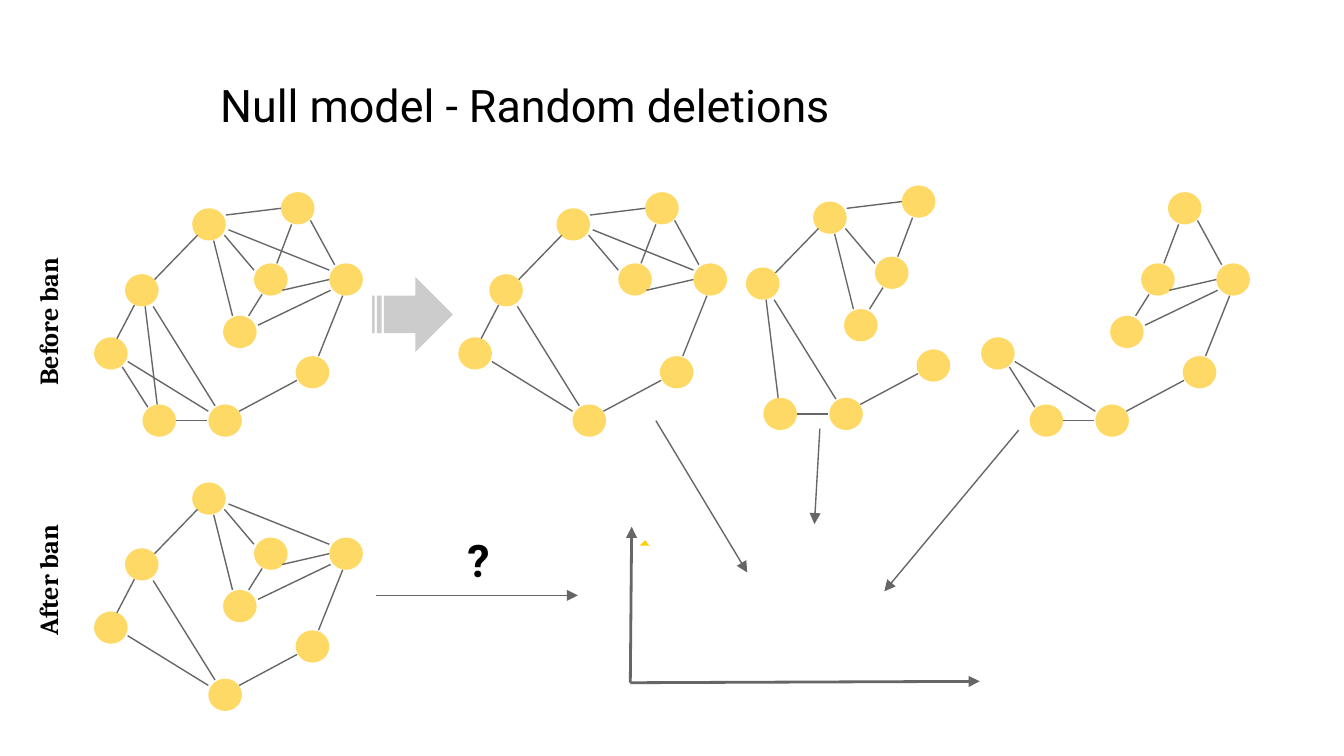
from lxml import etree
from pptx import Presentation
from pptx.dml.color import RGBColor
from pptx.enum import shapes, text
from pptx.oxml import ns
from pptx.util import Inches, Pt

HUES = {"node": "FFD966", "line": "666666", "arrow": "CCCCCC",
        "mark": "FFCD00", "text": "000000"}

deck = Presentation()
deck.slide_width = Inches(10)
deck.slide_height = Inches(10) * 9 // 16
slide = deck.slides.add_slide(deck.slide_layouts[6])


def add_line(start, end, width=0.75, arrow=False):
    line = slide.shapes.add_connector(
        shapes.MSO_CONNECTOR.STRAIGHT, *[Inches(v) for v in (*start, *end)])
    line.line.color.rgb = RGBColor.from_string(HUES["line"])
    line.line.width = Pt(width)
    if arrow:
        tail = etree.SubElement(line.line._get_or_add_ln(), ns.qn("a:tailEnd"))
        tail.set("type", "triangle")
    etree.SubElement(line._element.spPr, ns.qn("a:effectLst"))


def paint(shape, hue):
    """Give a shape a flat fill with no outline or shadow."""
    shape.shadow.inherit = False
    shape.fill.solid()
    shape.fill.fore_color.rgb = RGBColor.from_string(HUES[hue])
    shape.line.fill.background()


# The full network: every other graph drops nodes and the edges they touch
NODES = {"a": (1.43, 1.55), "b": (2.09, 1.43), "c": (1.66, 2.35),
         "d": (2.45, 1.96), "e": (0.7, 2.51), "f": (1.55, 3.01),
         "g": (0.93, 2.04), "h": (2.2, 2.65), "i": (1.89, 1.96),
         "j": (1.06, 3.01)}
EDGES = {"ab": (1.68, 1.6, 2.09, 1.55), "bd": (2.31, 1.64, 2.49, 1.97),
         "cd": (1.92, 2.42, 2.46, 2.16), "ac": (1.59, 1.79, 1.73, 2.35),
         "dh": (2.55, 2.2, 2.37, 2.65), "fh": (1.78, 3.06, 2.21, 2.83),
         "ef": (0.95, 2.69, 1.55, 3.06), "gf": (1.14, 2.28, 1.6, 3.02),
         "ga": (1.15, 2.08, 1.47, 1.75), "eg": (0.87, 2.52, 1, 2.27),
         "ic": (1.95, 2.19, 1.85, 2.35), "id": (2.1, 2.16, 2.45, 2.08),
         "ib": (2.06, 1.96, 2.17, 1.67), "ia": (1.89, 2.01, 1.67, 1.75),
         "ad": (1.7, 1.71, 2.45, 2.01), "jf": (1.31, 3.13, 1.54, 3.13),
         "ej": (0.91, 2.73, 1.1, 3.03), "jg": (1.17, 3.01, 1.08, 2.28)}
GRAPHS = [(0, 0, ""), (2.71, 0, "cj"), (4.62, -0.05, "de"),
          (6.6, 0, "ag"), (0, 2.04, "bj")]

for dx, dy, gone in GRAPHS:
    for name, (x, y) in NODES.items():
        if name not in gone:
            node = slide.shapes.add_shape(
                shapes.MSO_SHAPE.OVAL, Inches(x + dx), Inches(y + dy),
                Inches(0.25), Inches(0.24))
            paint(node, "node")
    for ends, (x1, y1, x2, y2) in EDGES.items():
        if not set(ends) & set(gone):
            add_line((x1 + dx, y1 + dy), (x2 + dx, y2 + dy))

# Deletion arrow, axes and pointers
block = slide.shapes.add_shape(
    shapes.MSO_SHAPE.STRIPED_RIGHT_ARROW,
    Inches(2.77), Inches(2.06), Inches(0.6), Inches(0.56))
paint(block, "arrow")

for end in [(4.7, 3.92), (7.29, 5.07)]:
    add_line((4.69, 5.08), end, 1.5, arrow=True)
for start, end in [((7.58, 3.2), (6.58, 4.4)), ((6.1, 3.19), (6.06, 3.9)),
                   ((4.88, 3.13), (5.56, 4.26)), ((2.8, 4.43), (4.3, 4.43))]:
    add_line(start, end, arrow=True)

peak = [(4.76, 4.06), (4.77, 4.05), (4.79, 4.03), (4.8, 4.02),
        (4.81, 4.03), (4.82, 4.05), (4.84, 4.06)]
peak = [(Inches(x), Inches(y)) for x, y in peak]
build = slide.shapes.build_freeform(*peak[0])
build.add_line_segments(peak[1:])
paint(build.convert_to_shape(), "mark")

# Texts: words, box, font, size, bold, turn, alignment, anchor
LEFT, MID = text.PP_ALIGN.LEFT, text.PP_ALIGN.CENTER
TOP, HALF = text.MSO_ANCHOR.TOP, text.MSO_ANCHOR.MIDDLE
TEXTS = [
    ("Null model - Random deletions", (1.54, 0.48, 4.83, 0.72),
     "Roboto", 24, False, 0, LEFT, TOP),
    ("Before ban", (-0.46, 2.18, 1.63, 0.43), "Cambria", 14, True, 270, MID, HALF),
    ("After ban", (-0.46, 4.1, 1.63, 0.43), "Cambria", 14, True, 270, MID, HALF),
    ("?", (3.38, 3.98, 0.54, 0.37), "Roboto", 24, True, 0, LEFT, HALF),
]
for words, box, face, size, bold, turn, align, anchor in TEXTS:
    label = slide.shapes.add_textbox(*[Inches(v) for v in box])
    label.rotation = turn
    frame = label.text_frame
    frame.word_wrap = True
    frame.vertical_anchor = anchor
    frame.margin_left = frame.margin_right = Inches(0.1)
    frame.margin_top = frame.margin_bottom = Inches(0.1)
    para = frame.paragraphs[0]
    para.text = words
    para.alignment = align
    para.font.name = face
    para.font.size = Pt(size)
    para.font.bold = bold
    para.font.color.rgb = RGBColor.from_string(HUES["text"])

deck.save("out.pptx")
